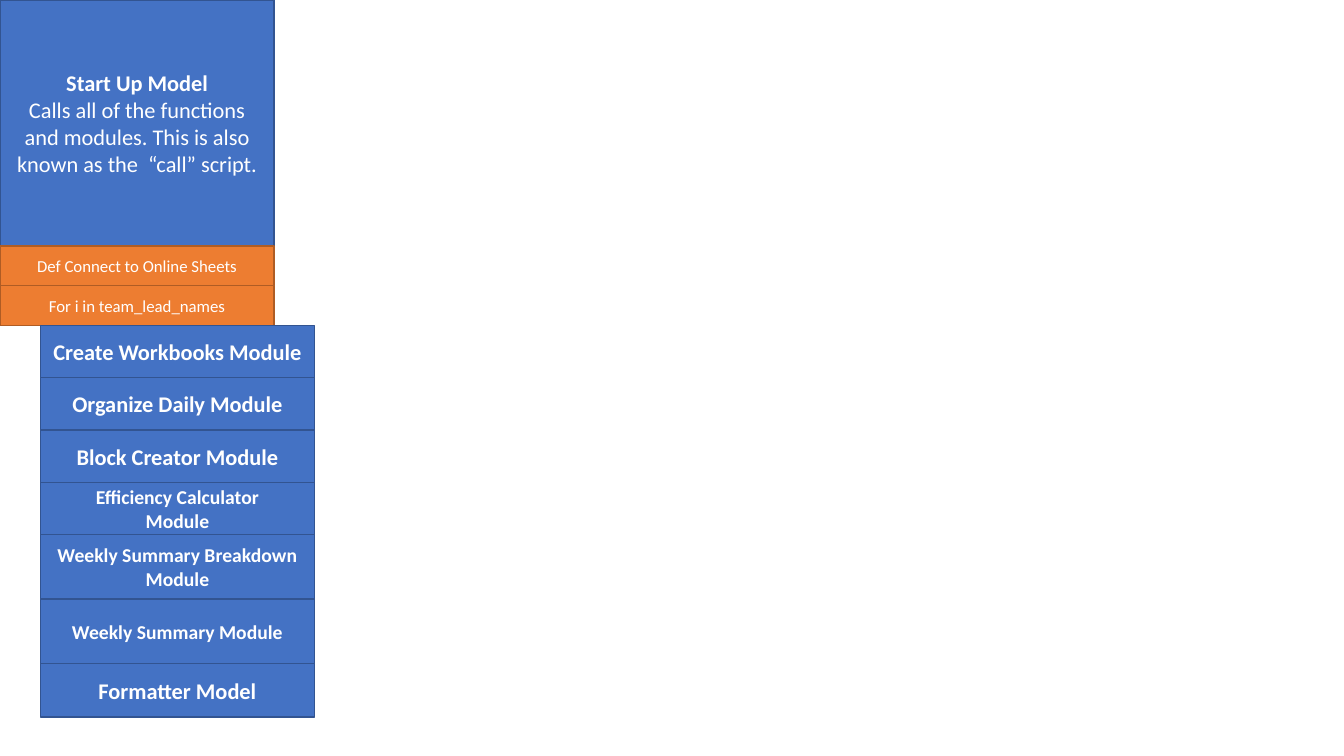
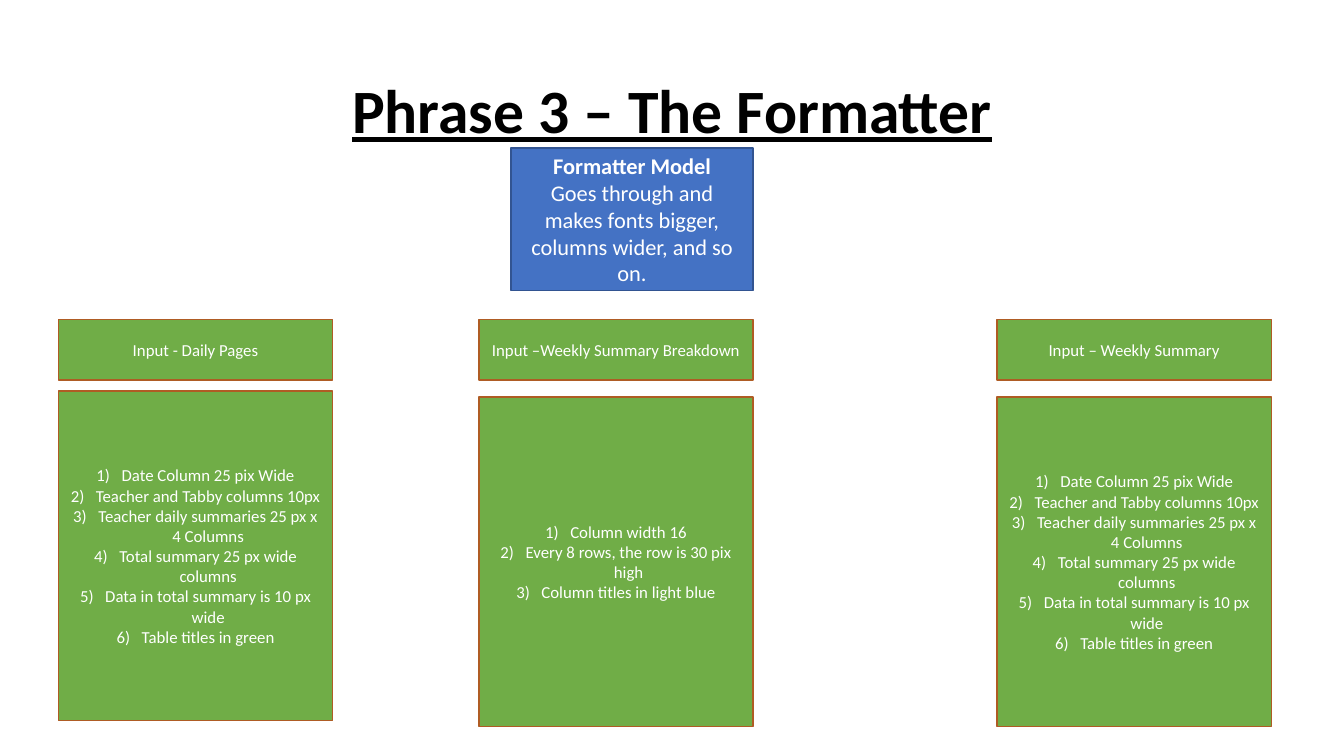
from lxml import etree
from pptx import Presentation
from pptx import util as u
from pptx.dml.color import RGBColor
from pptx.enum import shapes, text
from pptx.oxml import ns

BLUE = RGBColor(0x44, 0x72, 0xC4)
BLUE_EDGE = RGBColor(0x32, 0x54, 0x91)
ORANGE = RGBColor(0xED, 0x7D, 0x31)
ORANGE_EDGE = RGBColor(0xAF, 0x5C, 0x24)
GREEN = RGBColor(0x70, 0xAD, 0x47)
WHITE = RGBColor(0xFF, 0xFF, 0xFF)
BLACK = RGBColor(0, 0, 0)
FONT = "Calibri"

deck = Presentation()
deck.slide_width = u.Inches(13.33)
deck.slide_height = u.Inches(7.5)
COLUMN = deck.slide_width / 100
ROW = deck.slide_height / 100
BOX_WIDTH = 20.4


def write(paragraph, words, size, color, bold=False):
    paragraph.alignment = text.PP_ALIGN.CENTER
    run = paragraph.add_run()
    run.text = words
    run.font.name = FONT
    run.font.size = u.Pt(size)
    run.font.bold = bold
    run.font.color.rgb = color
    return run


def add_box(slide, left, top, width, height, fill, edge, lines, size, numbered=False):
    box = slide.shapes.add_shape(
        shapes.MSO_SHAPE.RECTANGLE,
        round(left * COLUMN), round(top * ROW), round(width * COLUMN), round(height * ROW))
    box.shadow.inherit = False
    box.fill.solid()
    box.fill.fore_color.rgb = fill
    box.line.color.rgb = edge
    box.line.width = u.Pt(1)
    frame = box.text_frame
    frame.word_wrap = True
    frame.vertical_anchor = text.MSO_ANCHOR.MIDDLE
    for index, (words, bold) in enumerate(lines):
        paragraph = frame.add_paragraph() if index else frame.paragraphs[0]
        write(paragraph, words, size, WHITE, bold)
        if numbered:
            properties = paragraph._p.get_or_add_pPr()
            properties.set("marL", str(u.Inches(0.25)))
            properties.set("indent", str(u.Inches(-0.25)))
            etree.SubElement(properties, ns.qn("a:buFont"), typeface="+mj-lt")
            etree.SubElement(properties, ns.qn("a:buAutoNum"), type="arabicParenR")


overview = deck.slides.add_slide(deck.slide_layouts[6])
start_up = [
    ("Start Up Model", True),
    ("Calls all of the functions and modules. This is also known as the  “call” script.", False),
]
steps = [
    (0, 32.53, BLUE, BLUE_EDGE, start_up, 16),
    (0, 5.27, ORANGE, ORANGE_EDGE, [("Def Connect to Online Sheets", False)], 12),
    (0, 5.27, ORANGE, ORANGE_EDGE, [("For i in team_lead_names", False)], 12),
]
modules = [
    (6.91, 16, ["Create Workbooks Module"]),
    (6.91, 16, ["Organize Daily Module"]),
    (6.91, 16, ["Block Creator Module"]),
    (6.91, 14, ["Efficiency Calculator", "Module"]),
    (8.53, 14, ["Weekly Summary Breakdown Module"]),
    (8.53, 14, ["Weekly Summary Module"]),
    (7.07, 16, ["Formatter Model"]),
]
for height, size, names in modules:
    steps.append((3, height, BLUE, BLUE_EDGE, [(name, True) for name in names], size))

top = 0
for left, height, fill, edge, lines, size in steps:
    add_box(overview, left, top, BOX_WIDTH, height, fill, edge, lines, size)
    top += height

formatter = deck.slides.add_slide(deck.slide_layouts[5])
heading = formatter.shapes.title
heading.left, heading.top = round(6.9 * COLUMN), round(5.33 * ROW)
heading.width, heading.height = round(86.25 * COLUMN), round(19.33 * ROW)
heading.text_frame.word_wrap = True
heading.text_frame.auto_size = text.MSO_AUTO_SIZE.NONE
heading.text_frame.vertical_anchor = text.MSO_ANCHOR.MIDDLE
heading_line = heading.text_frame.paragraphs[0]
heading_line.line_spacing = 0.9
write(heading_line, "Phrase 3 – The Formatter", 44, BLACK, True).font.underline = True

purpose = [
    ("Formatter Model", True),
    ("Goes through and makes fonts bigger, columns wider, and so on.", False),
]
add_box(formatter, 38.03, 19.6, 18, 18.8, BLUE, BLUE_EDGE, purpose, 16)

summary_rules = [
    "Date Column 25 pix Wide",
    "Teacher and Tabby columns 10px",
    "Teacher daily summaries 25 px x 4 Columns",
    "Total summary 25 px wide columns",
    "Data in total summary is 10 px wide",
    "Table titles in green",
]
breakdown_rules = [
    "Column width 16",
    "Every 8 rows, the row is 30 pix high",
    "Column titles in light blue",
]
inputs = [
    (4.35, 51.73, "Input - Daily Pages", summary_rules),
    (35.63, 52.53, "Input –Weekly Summary Breakdown", breakdown_rules),
    (74.19, 52.53, "Input – Weekly Summary", summary_rules),
]
for left, rules_top, name, rules in inputs:
    add_box(formatter, left, 42.27, BOX_WIDTH, 8, GREEN, ORANGE_EDGE, [(name, False)], 12)
    add_box(formatter, left, rules_top, BOX_WIDTH, 43.6, GREEN, ORANGE_EDGE,
            [(rule, False) for rule in rules], 12, numbered=True)

deck.save("out.pptx")
